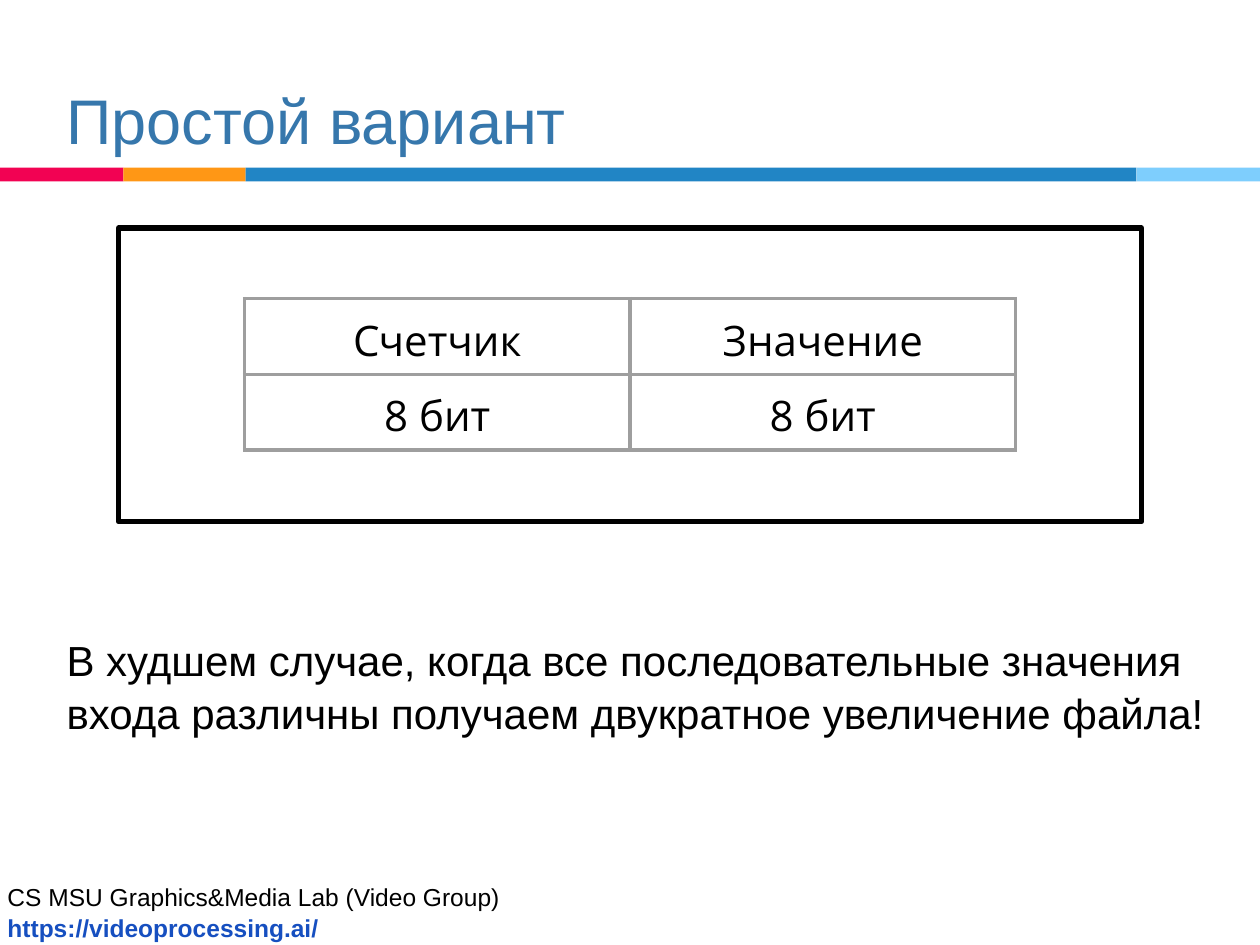
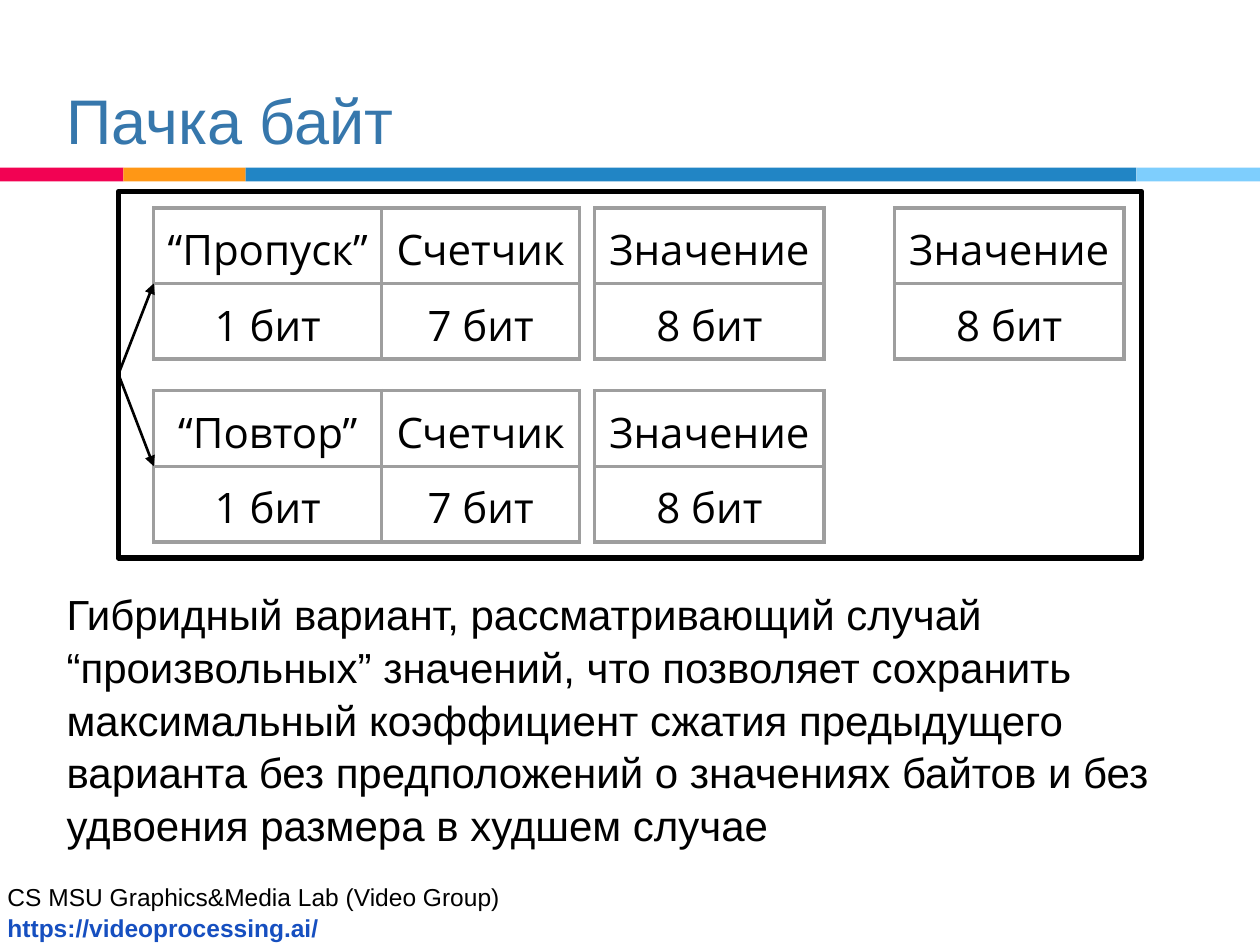
"""Build two slides on run-length encoding record layouts."""
from dataclasses import dataclass

import pptx
import pptx.dml.color
import pptx.enum.shapes
import pptx.enum.text
import pptx.oxml
import pptx.oxml.ns
import pptx.util
from pptx.presentation import Presentation
from pptx.slide import Slide
from pptx.text.text import TextFrame

WIDTH = pptx.util.Inches(10)
HEIGHT = pptx.util.Inches(7.5)
COLUMNS, ROWS = 100, 75


@dataclass(frozen=True)
class Theme:
    """Colours, fonts and sizes shared by the slides."""
    ink: str = "000000"
    paper: str = "FFFFFF"
    title: str = "3677AC"
    link: str = "164FC0"
    grid: str = "9E9E9E"
    red: str = "F20253"
    orange: str = "FF9715"
    blue: str = "2185C5"
    sky: str = "7ECEFD"
    text_font: str = "Arial"
    table_font: str = "Open Sans"
    title_size: float = 36
    body_size: float = 24
    footer_size: float = 14
    frame_line: float = 3
    grid_line: float = 2.25
    arrow_line: float = 1.5
    leading: float = 1.05


@dataclass(frozen=True)
class Box:
    """A rectangle in grid columns and rows."""
    left: float
    top: float
    width: float
    height: float

    def lengths(self) -> tuple[int, int, int, int]:
        """Return left, top, width and height on the slide."""
        return across(self.left), down(self.top), across(self.width), down(self.height)


@dataclass(frozen=True)
class Field:
    """A group of named bit fields drawn as one table."""
    left: float
    top: float
    widths: tuple[float, ...]
    names: tuple[str, ...]
    bits: tuple[str, ...]


@dataclass(frozen=True)
class Arrow:
    """A straight arrow between two grid points."""
    start: tuple[float, float]
    end: tuple[float, float]


@dataclass(frozen=True)
class Page:
    """The content of one slide."""
    title: str
    frame: Box
    fields: tuple[Field, ...]
    body_top: float
    body: tuple[str, ...]
    arrows: tuple[Arrow, ...] = ()


THEME = Theme()
TITLE_BOX = Box(4.3, 0.5, 83.4, 12.5)
FOOTER_BOX = Box(0.1, 69.4, 40.3, 5.7)
FOOTER = ("CS MSU Graphics&Media Lab (Video Group)", "https://videoprocessing.ai/")
BAND_TOP, BAND_HEIGHT = 13.3, 1.1
BANDS = ((THEME.red, 9.8), (THEME.orange, 9.7), (THEME.blue, 70.7), (THEME.sky, 9.8))
FIELD_ROW = 6
FRAME_LEFT, FRAME_WIDTH = 9.4, 81.2
MARGIN, BODY_WIDTH, BODY_HEIGHT = 4.3, 92.9, 32.3
FLAG_LEFT, VALUE_LEFT, LAST_LEFT = 12.2, 47.2, 71
UPPER, LOWER = 16.5, 31
FORK = (FRAME_LEFT, 29.7)


def flagged(flag: str, top: float) -> Field:
    """Describe a counter preceded by a one-bit flag."""
    return Field(FLAG_LEFT, top, (18.1, 15.7), (flag, "Счетчик"), ("1 бит", "7 бит"))


def value(left: float, top: float) -> Field:
    """Describe a one-byte value."""
    return Field(left, top, (18.2,), ("Значение",), ("8 бит",))


PAGES = (
    Page(
        "Простой вариант",
        Box(FRAME_LEFT, 18.1, FRAME_WIDTH, 23.3),
        (Field(19.4, 23.7, (30.6, 30.6), ("Счетчик", "Значение"), ("8 бит", "8 бит")),),
        49.7,
        ("В худшем случае, когда все последовательные значения",
         "входа различны получаем двукратное увеличение файла!"),
    ),
    Page(
        "Пачка байт",
        Box(FRAME_LEFT, 15.2, FRAME_WIDTH, 29.1),
        (flagged("“Пропуск”", UPPER), flagged("“Повтор”", LOWER),
         value(VALUE_LEFT, UPPER), value(LAST_LEFT, UPPER), value(VALUE_LEFT, LOWER)),
        46,
        ("Гибридный вариант, рассматривающий случай “произвольных” значений, "
         "что позволяет сохранить максимальный коэффициент сжатия предыдущего "
         "варианта без предположений о значениях байтов и без удвоения размера "
         "в худшем случае",),
        tuple(Arrow(FORK, (FLAG_LEFT, top + FIELD_ROW)) for top in (UPPER, LOWER)),
    ),
)


def across(columns: float) -> int:
    """Convert grid columns to a length."""
    return round(WIDTH * columns / COLUMNS)


def down(rows: float) -> int:
    """Convert grid rows to a length."""
    return round(HEIGHT * rows / ROWS)


def rgb(code: str) -> pptx.dml.color.RGBColor:
    """Convert a hex code to a colour."""
    return pptx.dml.color.RGBColor.from_string(code)


def style(frame: TextFrame, font: str, size: float, color: str) -> None:
    """Format every run of a text frame."""
    for paragraph in frame.paragraphs:
        for run in paragraph.runs:
            run.font.name = font
            run.font.size = pptx.util.Pt(size)
            run.font.color.rgb = rgb(color)


def add_text(slide: Slide, box: Box, lines: tuple[str, ...], size: float, color: str) -> TextFrame:
    """Add a wrapped text box with one paragraph per line."""
    frame = slide.shapes.add_textbox(*box.lengths()).text_frame
    frame.word_wrap = True
    frame.text = "\n".join(lines)
    style(frame, THEME.text_font, size, color)
    return frame


def set_leading(frame: TextFrame) -> None:
    """Apply the shared line spacing."""
    for paragraph in frame.paragraphs:
        paragraph.line_spacing = THEME.leading


def add_rectangle(slide: Slide, box: Box, fill: str, outline: str | None = None) -> None:
    """Add a flat rectangle with an optional outline."""
    rectangle = slide.shapes.add_shape(
        pptx.enum.shapes.MSO_SHAPE.RECTANGLE, *box.lengths())
    rectangle.shadow.inherit = False
    rectangle.fill.solid()
    rectangle.fill.fore_color.rgb = rgb(fill)
    if outline is None:
        rectangle.line.fill.background()
    else:
        rectangle.line.color.rgb = rgb(outline)
        rectangle.line.width = pptx.util.Pt(THEME.frame_line)


def add_field(slide: Slide, field: Field) -> None:
    """Add a bit field table with names above sizes."""
    box = Box(field.left, field.top, sum(field.widths), 2 * FIELD_ROW)
    table = slide.shapes.add_table(2, len(field.widths), *box.lengths()).table
    table.first_row = table.horz_banding = False
    for column, width in zip(table.columns, field.widths):
        column.width = across(width)
    for cell, content in zip(table.iter_cells(), field.names + field.bits):
        cell.text_frame.text = content
        cell.text_frame.paragraphs[0].alignment = pptx.enum.text.PP_ALIGN.CENTER
        style(cell.text_frame, THEME.table_font, THEME.body_size, THEME.ink)
        inset = pptx.util.Inches(0.1)
        cell.margin_left = cell.margin_right = inset
        cell.margin_top = cell.margin_bottom = inset
        cell.fill.background()
        properties = cell._tc.get_or_add_tcPr()
        for position, side in enumerate("LRTB"):
            properties.insert(position, pptx.oxml.parse_xml(
                f'<a:ln{side} {pptx.oxml.ns.nsdecls("a")} w="{pptx.util.Pt(THEME.grid_line)}">'
                f'<a:solidFill><a:srgbClr val="{THEME.grid}"/></a:solidFill></a:ln{side}>'))


def add_arrow(slide: Slide, arrow: Arrow) -> None:
    """Add a thin line ending in a triangle."""
    (start_x, start_y), (end_x, end_y) = arrow.start, arrow.end
    connector = slide.shapes.add_connector(
        pptx.enum.shapes.MSO_CONNECTOR.STRAIGHT,
        across(start_x), down(start_y), across(end_x), down(end_y))
    connector.line.color.rgb = rgb(THEME.ink)
    connector.line.width = pptx.util.Pt(THEME.arrow_line)
    namespace = pptx.oxml.ns.nsdecls("a")
    connector.line._get_or_add_ln().append(
        pptx.oxml.parse_xml(f'<a:tailEnd {namespace} type="triangle"/>'))
    connector._element.spPr.append(pptx.oxml.parse_xml(f"<a:effectLst {namespace}/>"))


def add_common(slide: Slide, title: str) -> None:
    """Add the colour band, footer and title."""
    left = 0.0
    for color, width in BANDS:
        add_rectangle(slide, Box(left, BAND_TOP, width, BAND_HEIGHT), color)
        left += width
    footer = add_text(slide, FOOTER_BOX, FOOTER, THEME.footer_size, THEME.ink)
    footer.margin_left = footer.margin_right = pptx.util.Inches(0.05)
    set_leading(footer)
    address = footer.paragraphs[1].runs[0].font
    address.bold = True
    address.color.rgb = rgb(THEME.link)
    heading = add_text(slide, TITLE_BOX, (title,), THEME.title_size, THEME.title)
    heading.vertical_anchor = pptx.enum.text.MSO_ANCHOR.BOTTOM


def add_page(deck: Presentation, page: Page) -> None:
    """Add one slide from its description."""
    slide = deck.slides.add_slide(deck.slide_layouts[6])
    add_common(slide, page.title)
    add_rectangle(slide, page.frame, THEME.paper, THEME.ink)
    for field in page.fields:
        add_field(slide, field)
    for arrow in page.arrows:
        add_arrow(slide, arrow)
    body_box = Box(MARGIN, page.body_top, BODY_WIDTH, BODY_HEIGHT)
    set_leading(add_text(slide, body_box, page.body, THEME.body_size, THEME.ink))


def main() -> None:
    """Build and save the deck."""
    deck = pptx.Presentation()
    deck.slide_width, deck.slide_height = WIDTH, HEIGHT
    for page in PAGES:
        add_page(deck, page)
    deck.save("out.pptx")


if __name__ == "__main__":
    main()
